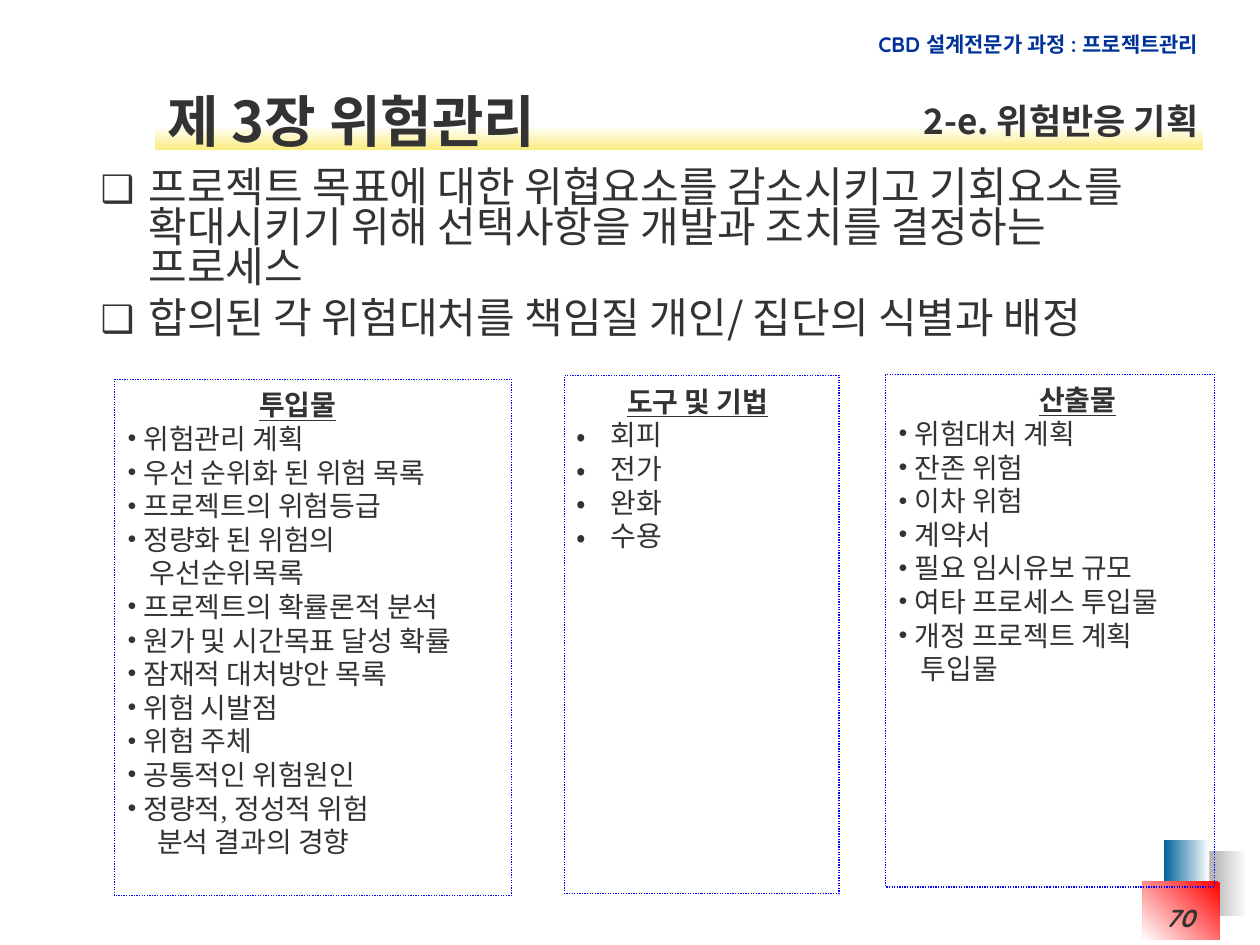
from lxml import etree
from pptx import Presentation
from pptx.dml.color import RGBColor
from pptx.enum.dml import MSO_LINE
from pptx.enum.shapes import MSO_SHAPE
from pptx.enum.text import MSO_ANCHOR, MSO_AUTO_SIZE, PP_ALIGN
from pptx.oxml.ns import qn
from pptx.util import Inches, Pt

RECTANGLE = MSO_SHAPE.RECTANGLE
DOTTED = MSO_LINE.ROUND_DOT
LEFT, RIGHT = PP_ALIGN.LEFT, PP_ALIGN.RIGHT
TOP, MIDDLE = MSO_ANCHOR.TOP, MSO_ANCHOR.MIDDLE
GROW, FIXED = MSO_AUTO_SIZE.SHAPE_TO_FIT_TEXT, MSO_AUTO_SIZE.NONE

INK = RGBColor(0x33, 0x33, 0x33)
NAVY = RGBColor(0x00, 0x33, 0x99)
BLUE = RGBColor(0x00, 0x00, 0xFF)
TEAL = RGBColor(0x00, 0x66, 0x99)
GREY = RGBColor(0x96, 0x96, 0x96)
RED = RGBColor(0xFF, 0x00, 0x00)
YELLOW = RGBColor(0xFB, 0xEC, 0x7F)
WHITE = RGBColor(0xFF, 0xFF, 0xFF)

KOREAN, SERIF, ROUNDED = "Noto Sans CJK KR", "Times New Roman", "Quicksand"
COLUMNS, ROWS = 100, 75

BLOCKS = [
    ((95, 67.5, 4, 5.2), (WHITE, GREY), 180),
    ((92.4, 66.7, 3.6, 5.2), (WHITE, TEAL), 180),
    ((90.7, 70, 6.1, 4.6), (RED, WHITE), 225),
    ((12.3, 10, 83.2, 1.9), (WHITE, YELLOW), 270),
]
GOALS = [
    "프로젝트 목표에 대한 위협요소를 감소시키고 기회요소를 확대시키기 위해 선택사항을 개발과 조치를 결정하는 프로세스",
    "합의된 각 위험대처를 책임질 개인/ 집단의 식별과 배정",
]
INPUTS = [
    "위험관리 계획", "우선 순위화 된 위험 목록", "프로젝트의 위험등급",
    "정량화 된 위험의", ("우선순위목록", 1.8), "프로젝트의 확률론적 분석",
    "원가 및 시간목표 달성 확률", "잠재적 대처방안 목록", "위험 시발점",
    "위험 주체", "공통적인 위험원인", "정량적, 정성적 위험",
    ("분석 결과의 경향", 2.4),
]
TOOLS = ["회피", "전가", "완화", "수용"]
OUTPUTS = [
    "위험대처 계획", "잔존 위험", "이차 위험", "계약서", "필요 임시유보 규모",
    "여타 프로세스 투입물", "개정 프로젝트 계획", ("투입물", 1.8),
]
PANELS = [
    ((9.1, 30.1, 31.5, 41), "투입물", 10.5, INPUTS, 1.3, SERIF),
    ((44.8, 29.8, 21.8, 41.1), "도구 및 기법", 4, TOOLS, 2.7, KOREAN),
    ((70.3, 29.7, 26.1, 40.7), "산출물", 11.2, OUTPUTS, 1.3, SERIF),
]


class SlideKit:
    """Hold the deck, its current page and the style of every element."""

    def __init__(self):
        self.deck = Presentation()
        self.deck.slide_width, self.deck.slide_height = Inches(10), Inches(7.5)
        self.page = self.deck.slides.add_slide(self.deck.slide_layouts[5])

    def across(self, columns):
        return round(self.deck.slide_width * columns / COLUMNS)

    def place(self, area):
        left, top, width, height = area
        down = self.deck.slide_height / ROWS
        return (self.across(left), round(top * down),
                self.across(width), round(height * down))

    def frame(self, box, **changes):
        values = {"word_wrap": True, "auto_size": FIXED,
                  "vertical_anchor": TOP, "margin_left": Inches(0.1),
                  "margin_right": Inches(0.1), "margin_top": Inches(0.07),
                  "margin_bottom": Inches(0.05)} | changes
        for name, value in values.items():
            setattr(box.text_frame, name, value)

    def add_text(self, box, text, size, font=KOREAN, color=INK, align=LEFT,
                 spacing=1.2, **extras):
        frame = box.text_frame
        para = frame.paragraphs[0]
        if para.runs:
            para = frame.add_paragraph()
        para.alignment = align
        para.line_spacing = Pt(round(size * spacing, 1))
        span = para.add_run()
        span.text = text
        span.font.color.rgb = color
        for name, value in ({"size": Pt(size), "name": font} | extras).items():
            setattr(span.font, name, value)
        etree.SubElement(span.font._element, qn("a:ea"), typeface=KOREAN)
        return para

    def indent(self, para, columns, mark=None, font=None, percent=100):
        details = para._p.get_or_add_pPr()
        offset = self.across(columns)
        details.set("marL", str(offset))
        details.set("indent", str(-offset if mark else 0))
        if mark:
            tint = etree.SubElement(details, qn("a:buClr"))
            etree.SubElement(tint, qn("a:srgbClr"), val=str(INK))
            etree.SubElement(details, qn("a:buSzPct"), val=str(percent * 1000))
            etree.SubElement(details, qn("a:buFont"), typeface=font)
            etree.SubElement(details, qn("a:buChar"), char=mark)

    def rectangle(self, area):
        box = self.page.shapes.add_shape(RECTANGLE, *self.place(area))
        box.shadow.inherit = False
        return box

    def gradient(self, area, colors, angle):
        box = self.rectangle(area)
        box.line.fill.background()
        box.fill.gradient()
        box.fill.gradient_angle = angle
        for stop, color in zip(box.fill.gradient_stops, colors):
            stop.color.rgb = color

    def title(self, area, text):
        box = self.page.shapes.title
        box.left, box.top, box.width, box.height = self.place(area)
        self.page.shapes._spTree.append(box._element)
        self.frame(box, vertical_anchor=MIDDLE, margin_top=Inches(0.05))
        self.add_text(box, text, 32, spacing=1.45, bold=True)

    def label(self, area, text, size, wrap=False, **style):
        box = self.page.shapes.add_textbox(*self.place(area))
        self.frame(box, word_wrap=wrap, auto_size=FIXED if wrap else GROW)
        self.add_text(box, text, size, align=RIGHT, bold=True, **style)

    def goals(self, area, texts):
        box = self.page.shapes.add_textbox(*self.place(area))
        self.frame(box)
        for number, text in enumerate(texts):
            para = self.add_text(box, text, 24, spacing=0.95)
            self.indent(para, 3.8, "❑", KOREAN, 90)
            if number:
                para.space_before = Pt(6)

    def panel(self, area, heading, inset, items, hang, mark_font):
        box = self.rectangle(area)
        box.fill.background()
        box.line.color.rgb = BLUE
        box.line.width = Pt(0.75)
        box.line.dash_style = DOTTED
        self.frame(box)
        para = self.add_text(box, heading, 16, SERIF, bold=True, underline=True)
        self.indent(para, inset)
        for item in items:
            if isinstance(item, tuple):
                text, offset = item
                self.indent(self.add_text(box, text, 16, SERIF), offset)
            else:
                para = self.add_text(box, item, 16, SERIF)
                self.indent(para, hang, "•", mark_font)


def main():
    kit = SlideKit()
    for block in BLOCKS:
        kit.gradient(*block)
    kit.label((67.5, 1.8, 28.6, 3), "CBD 설계전문가 과정 : 프로젝트관리", 12,
              font=ROUNDED, color=NAVY)
    kit.goals((7, 12.9, 88.5, 19.2), GOALS)
    for panel in PANELS:
        kit.panel(*panel)
    kit.title((12.3, 5.9, 37.7, 6.1), "제 3장 위험관리")
    kit.label((68.3, 7.2, 27.8, 4.4), "2-e. 위험반응 기획", 20)
    kit.label((83.5, 71, 12.3, 4), "70", 14, wrap=True, font=ROUNDED, italic=True)
    kit.deck.save("out.pptx")


if __name__ == "__main__":
    main()
